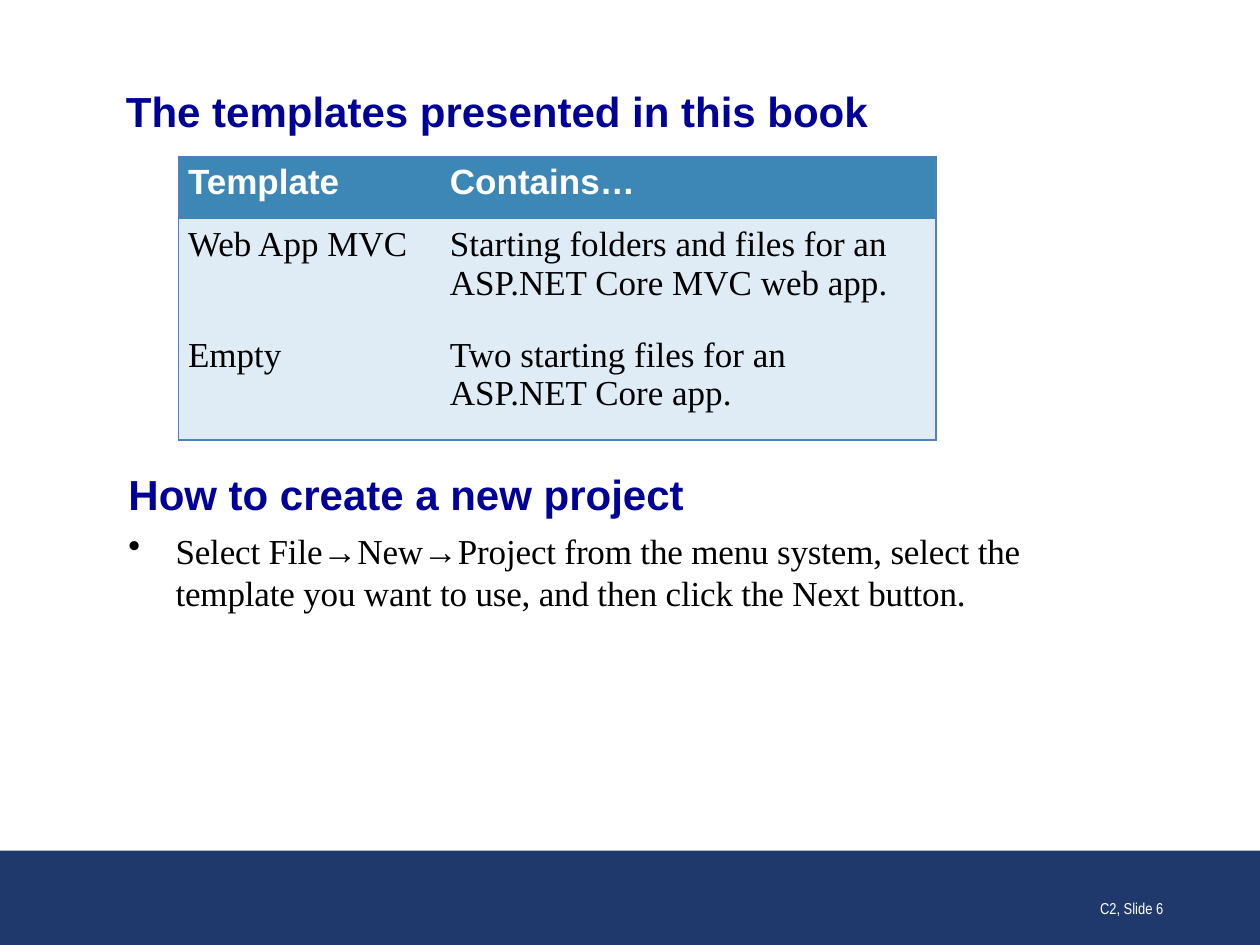
from lxml import etree
from pptx import Presentation
from pptx.dml.color import RGBColor
from pptx.enum.shapes import MSO_SHAPE
from pptx.enum.text import MSO_ANCHOR, PP_ALIGN
from pptx.oxml.ns import qn
from pptx.util import Cm, Pt

RECTANGLE = MSO_SHAPE.RECTANGLE
TOP, MIDDLE, BOTTOM = MSO_ANCHOR.TOP, MSO_ANCHOR.MIDDLE, MSO_ANCHOR.BOTTOM
RIGHT = PP_ALIGN.RIGHT

HEADING = {"name": "Arial", "size": Pt(24), "bold": True, "color": "000099"}
TABLE_HEAD = {"name": "Arial", "size": Pt(20), "bold": True, "color": "FFFFFF"}
BODY = {"name": "Times New Roman", "size": Pt(20), "bold": False, "color": "000000"}
FOOTER = {"name": "Arial Narrow", "size": Pt(9), "bold": False, "color": "FFFFFF"}

TEMPLATES = [
    ("Template", "Contains…"),
    ("Web App MVC", "Starting folders and files for an ASP.NET Core MVC web app."),
    ("Empty", "Two starting files for an ASP.NET Core app."),
]
COLUMN_WIDTHS = [Cm(5.28), Cm(9.99)]
ROW_HEIGHTS = [Cm(1.26), Cm(2.23), Cm(2.23)]
BORDER_COLOR = "4F81BD"


def rgb(hex_color):
    """Return the colour for a hex string."""
    return RGBColor.from_string(hex_color)


def write(paragraph, text, font_format, **spacing):
    """Put one formatted run into a paragraph and return the run."""
    for attribute, value in spacing.items():
        setattr(paragraph, attribute, value)
    run = paragraph.add_run()
    run.text = text
    for attribute, value in font_format.items():
        if attribute == "color":
            run.font.color.rgb = rgb(value)
        else:
            setattr(run.font, attribute, value)
    return run


def add_text_frame(slide, left, top, width, height, anchor):
    """Add a wrapping text box and return its text frame."""
    frame = slide.shapes.add_textbox(left, top, width, height).text_frame
    frame.word_wrap = True
    frame.vertical_anchor = anchor
    return frame


def add_bullet(paragraph, indent):
    """Give a paragraph a hanging bullet."""
    properties = paragraph._p.get_or_add_pPr()
    properties.set("marL", str(indent))
    properties.set("indent", str(-indent))
    etree.SubElement(properties, qn("a:buChar"), char="•")


def set_borders(cell, outer_sides):
    """Draw the cell's outer sides and hide its inner ones."""
    properties = cell._tc.get_or_add_tcPr()
    for position, side in enumerate(("L", "R", "T", "B")):
        line = etree.Element(qn(f"a:ln{side}"), w=str(Pt(1)))
        if side in outer_sides:
            fill = etree.SubElement(line, qn("a:solidFill"))
            etree.SubElement(fill, qn("a:srgbClr"), val=BORDER_COLOR)
        else:
            etree.SubElement(line, qn("a:noFill"))
        properties.insert(position, line)


def add_band(slide, slide_width):
    """Add the dark band along the foot of the slide."""
    band = slide.shapes.add_shape(RECTANGLE, 0, Cm(17.15), slide_width, Cm(1.9))
    band.shadow.inherit = False
    band.fill.solid()
    band.fill.fore_color.rgb = rgb("20396D")
    band.line.fill.background()


def add_title(slide):
    """Add the slide's main heading."""
    frame = add_text_frame(slide, Cm(2.54), Cm(1.73), Cm(20.32), Cm(1.02), MIDDLE)
    for side in ("left", "top", "right", "bottom"):
        setattr(frame, f"margin_{side}", 0)
    write(frame.paragraphs[0], "The templates presented in this book", HEADING,
          space_before=Pt(15))


def add_template_table(slide):
    """Add the table of templates with an outer border only."""
    last_row, last_column = len(ROW_HEIGHTS) - 1, len(COLUMN_WIDTHS) - 1
    table = slide.shapes.add_table(
        len(ROW_HEIGHTS), len(COLUMN_WIDTHS), Cm(3.6), Cm(3.15),
        sum(COLUMN_WIDTHS), sum(ROW_HEIGHTS)).table
    for column, width in zip(table.columns, COLUMN_WIDTHS):
        column.width = width
    for r, (height, texts) in enumerate(zip(ROW_HEIGHTS, TEMPLATES)):
        table.rows[r].height = height
        for c, text in enumerate(texts):
            cell = table.cell(r, c)
            cell.margin_left = cell.margin_right = Cm(0.19)
            cell.margin_top = cell.margin_bottom = Cm(0.13)
            cell.fill.solid()
            cell.fill.fore_color.rgb = rgb("DFECF5" if r else "3D87B7")
            write(cell.text_frame.paragraphs[0], text, BODY if r else TABLE_HEAD,
                  space_before=Pt(6), space_after=Pt(0 if r == 1 else 6))
            edges = {"L": c == 0, "R": c == last_column, "T": r == 0, "B": r == last_row}
            set_borders(cell, [side for side, is_outer in edges.items() if is_outer])


def add_instructions(slide):
    """Add the second heading and its bulleted step."""
    frame = add_text_frame(slide, Cm(2.34), Cm(9.32), Cm(20.52), Cm(6.15), TOP)
    write(frame.paragraphs[0], "How to create a new project", HEADING,
          space_before=Pt(15), space_after=Pt(6))
    step = frame.add_paragraph()
    run = write(step, "Select File→New→Project from the menu system, select the "
                "template you want to use, and then click the Next button.", BODY,
                space_after=Pt(6))
    run.font._element.set("spc", "-10")
    add_bullet(step, Cm(0.95))


def add_slide_number(slide):
    """Add the chapter and slide number in the band."""
    frame = add_text_frame(slide, Cm(18.42), Cm(17.35), Cm(5.28), Cm(1.27), BOTTOM)
    write(frame.paragraphs[0], "C2, Slide 6", FOOTER, alignment=RIGHT)


def main():
    """Build and save the slide."""
    presentation = Presentation()
    presentation.slide_width, presentation.slide_height = Cm(25.4), Cm(19.05)
    slide = presentation.slides.add_slide(presentation.slide_layouts[6])
    add_band(slide, presentation.slide_width)
    add_title(slide)
    add_template_table(slide)
    add_instructions(slide)
    add_slide_number(slide)
    presentation.save("out.pptx")


if __name__ == "__main__":
    main()
